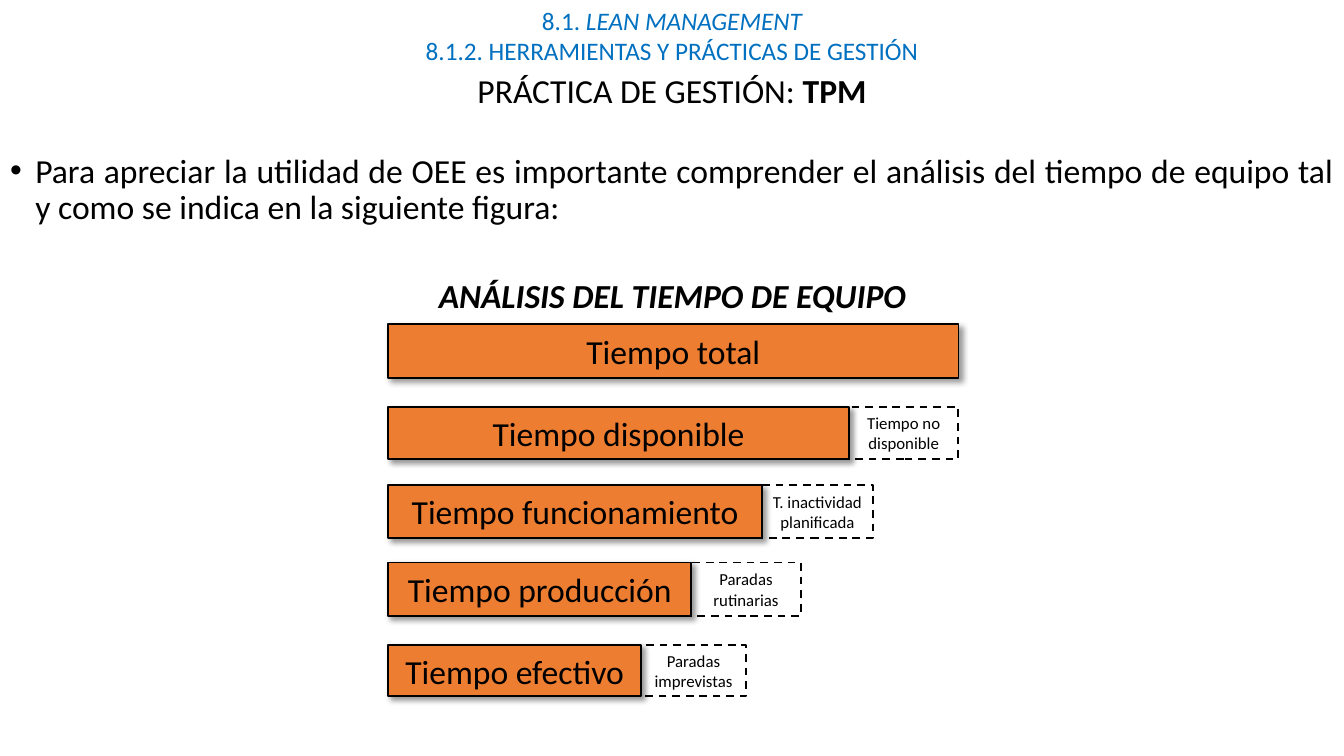
"""Builds the equipment time analysis slide of the TPM practice."""
from lxml.etree import SubElement
from pptx import Presentation
from pptx.dml.color import RGBColor
from pptx.enum.dml import MSO_LINE
from pptx.enum.shapes import MSO_SHAPE
from pptx.enum.text import MSO_ANCHOR, MSO_AUTO_SIZE, PP_ALIGN
from pptx.oxml.ns import qn
from pptx.util import Pt

COLORS = {"heading": "0070C0", "text": "000000", "bar": "ED7D31", "outline": "000000"}
SLIDE_WIDTH, SLIDE_HEIGHT = 960, 540

CHAPTER = [("8.1. ", {}), ("LEAN MANAGEMENT", {"italic": True})]
SECTION = [("8.1.2. HERRAMIENTAS Y PRÁCTICAS DE GESTIÓN", {})]
PRACTICE = [("PRÁCTICA DE GESTIÓN:", {}), (" TPM", {"bold": True})]
EXPLANATION = [("Para apreciar la utilidad de OEE es importante comprender el análisis "
                "del tiempo de equipo tal y como se indica en la siguiente figura:", {})]
CAPTION = [("ANÁLISIS DEL TIEMPO DE EQUIPO", {"bold": True, "italic": True})]

BARS_LEFT = 277.2
TIMES = [
    ("Tiempo total", 231.8, 38.2, 407.5, None, 0),
    ("Tiempo disponible", 290.9, 36.7, 329.2, "Tiempo no disponible", 78.3),
    ("Tiempo funcionamiento", 346.3, 38.2, 267.1, "T. inactividad planificada", 79.2),
    ("Tiempo producción", 401.8, 38.2, 216.7, "Paradas rutinarias", 78),
    ("Tiempo efectivo", 460.8, 36.7, 180.7, "Paradas imprevistas", 75),
]


def color(name):
    return RGBColor.from_string(COLORS[name])


def apply(target, values):
    for attribute, value in values.items():
        setattr(target, attribute, value)


def write(paragraph, pieces, size, tone="text", align=PP_ALIGN.CENTER, **spacing):
    apply(paragraph, {"alignment": align, **spacing})
    for words, style in pieces:
        run = paragraph.add_run()
        run.text = words
        apply(run.font, {"name": "Calibri", "size": Pt(size), **style})
        run.font.color.rgb = color(tone)


def place(shape, left, top, width, height, wrap=True):
    apply(shape, {"left": Pt(left), "top": Pt(top), "width": Pt(width), "height": Pt(height)})
    apply(shape.text_frame, {"word_wrap": wrap, "auto_size": MSO_AUTO_SIZE.NONE,
                             "vertical_anchor": MSO_ANCHOR.TOP})
    return shape.text_frame


def indent(paragraph, margin, first, bulleted):
    properties = paragraph._p.get_or_add_pPr()
    properties.set("marL", str(Pt(margin)))
    properties.set("indent", str(Pt(first)))
    if bulleted:
        SubElement(properties, qn("a:buFont"), typeface="Arial")
        SubElement(properties, qn("a:buChar"), char="•")
    else:
        SubElement(properties, qn("a:buNone"))


def add_block(slide, words, size, left, top, width, height):
    block = slide.shapes.add_shape(MSO_SHAPE.RECTANGLE, Pt(left), Pt(top), Pt(width), Pt(height))
    block.shadow.inherit = False
    block.line.color.rgb = color("outline")
    block.line.width = Pt(1.38)
    apply(block.text_frame, {"word_wrap": True, "vertical_anchor": MSO_ANCHOR.MIDDLE,
                             "margin_left": 0, "margin_right": 0,
                             "margin_top": 0, "margin_bottom": 0})
    write(block.text_frame.paragraphs[0], [(words, {})], size)
    return block


def cast_shadow(block):
    effects = block._element.spPr.find(qn("a:effectLst"))
    shadow = SubElement(effects, qn("a:outerShdw"), blurRad=str(Pt(4)), dist=str(Pt(3)),
                        dir="2700000", algn="tl", rotWithShape="0")
    tint = SubElement(shadow, qn("a:srgbClr"), val=COLORS["outline"])
    SubElement(tint, qn("a:alpha"), val="40000")


def main():
    deck = Presentation()
    apply(deck, {"slide_width": Pt(SLIDE_WIDTH), "slide_height": Pt(SLIDE_HEIGHT)})
    slide = deck.slides.add_slide(deck.slide_layouts[1])

    chapter = place(slide.shapes.title, 0, 0, SLIDE_WIDTH, 29)
    write(chapter.paragraphs[0], CHAPTER, 18, "heading")

    body = place(slide.placeholders[1], 0, 49.7, SLIDE_WIDTH, 490.3)
    practice, explanation = body.paragraphs[0], body.add_paragraph()
    write(practice, PRACTICE, 24, line_spacing=0.9, space_before=Pt(0))
    indent(practice, 0, 0, False)
    write(explanation, EXPLANATION, 24, align=PP_ALIGN.JUSTIFY,
          line_spacing=0.9, space_before=Pt(31))
    indent(explanation, 18, -18, True)

    section = place(slide.shapes.add_textbox(0, 0, 0, 0), 0, 21.6, SLIDE_WIDTH, 29)
    write(section.paragraphs[0], SECTION, 18, "heading")

    caption = place(slide.shapes.add_textbox(0, 0, 0, 0), 304.6, 193, 351.4, 36, wrap=False)
    write(caption.paragraphs[0], CAPTION, 24)

    for time, top, height, width, loss, loss_width in TIMES:
        bar = add_block(slide, time, 24, BARS_LEFT, top, width, height)
        bar.fill.solid()
        bar.fill.fore_color.rgb = color("bar")
        cast_shadow(bar)
        if loss:
            gap = add_block(slide, loss, 12, BARS_LEFT + width, top, loss_width, height)
            gap.fill.background()
            gap.line.dash_style = MSO_LINE.DASH

    deck.save("out.pptx")


if __name__ == "__main__":
    main()
